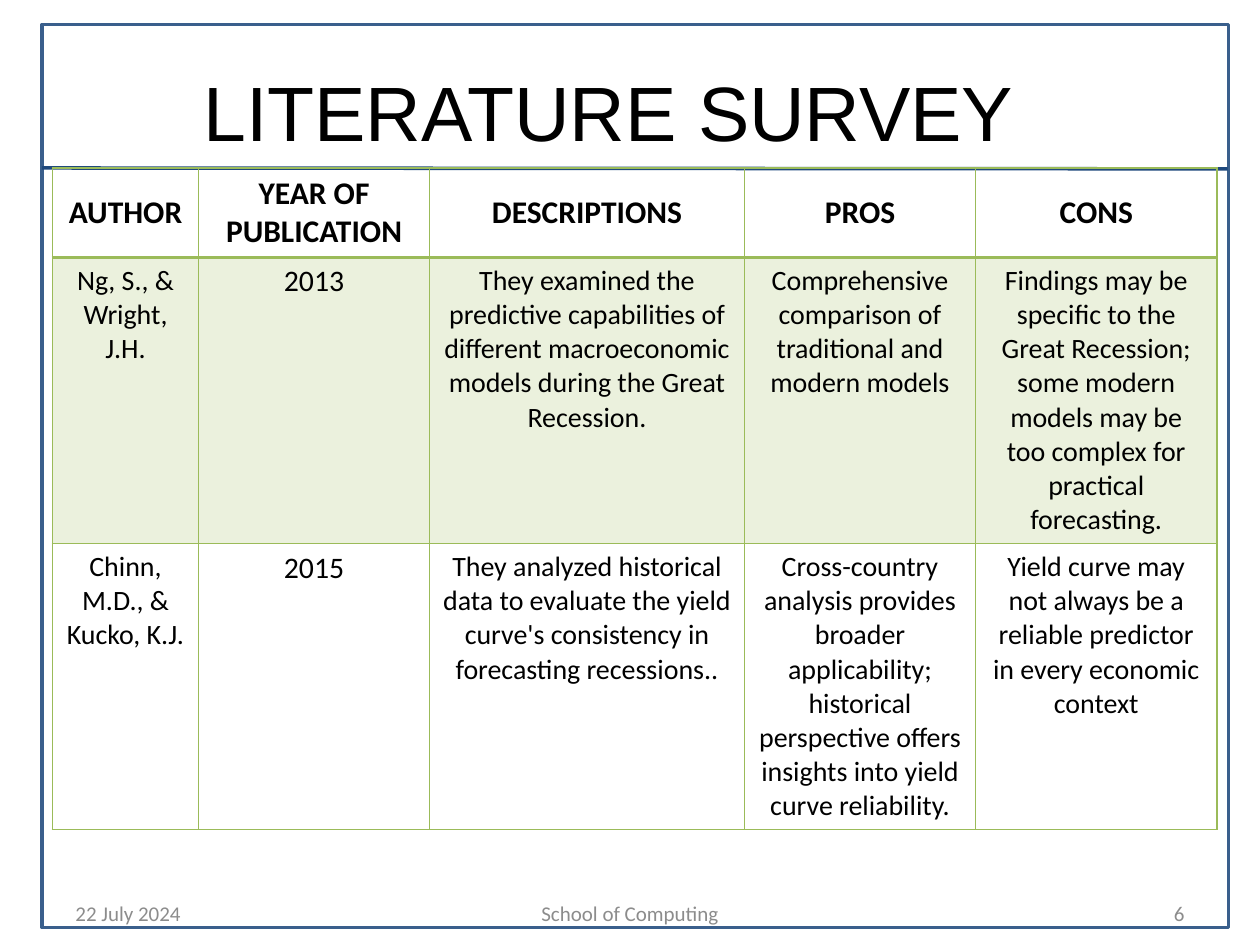
from dataclasses import dataclass

from lxml import etree
from pptx import Presentation
from pptx.dml.color import RGBColor
from pptx.enum.shapes import MSO_CONNECTOR, MSO_SHAPE
from pptx.enum.text import MSO_ANCHOR, PP_ALIGN
from pptx.oxml.ns import qn
from pptx.util import Pt

LEFT, CENTER, RIGHT = PP_ALIGN.LEFT, PP_ALIGN.CENTER, PP_ALIGN.RIGHT
TOP, MIDDLE = MSO_ANCHOR.TOP, MSO_ANCHOR.MIDDLE
RECTANGLE, STRAIGHT = MSO_SHAPE.RECTANGLE, MSO_CONNECTOR.STRAIGHT
TITLE_ONLY = 5


@dataclass(frozen=True)
class Theme:
    black: str = "000000"
    gray: str = "8C8C8C"
    frame: str = "3A5F8C"
    rule: str = "1F497D"
    green: str = "9BBB59"
    band_opacity: int = 20
    title_font: str = "Arial"
    body_font: str = "Calibri"
    title_size: int = 44
    header_size: int = 18
    year_size: int = 17
    body_size: int = 16
    footer_size: int = 12


THEME = Theme()

COLUMN_WIDTHS = (83.5, 132, 180, 132, 138)
ROW_HEIGHTS = (51, 163.5, 163.5)
YEAR_COLUMN = 1
SURVEY = (
    ("AUTHOR", "YEAR OF PUBLICATION", "DESCRIPTIONS", "PROS", "CONS"),
    (
        "Ng, S., & Wright, J.H.",
        "2013",
        "They examined the predictive capabilities of different "
        "macroeconomic models during the Great Recession.",
        "Comprehensive comparison of traditional and modern models",
        "Findings may be specific to the Great Recession; some modern models "
        "may be too complex for practical forecasting.",
    ),
    (
        "Chinn, M.D., & Kucko, K.J.",
        "2015",
        "They analyzed historical data to evaluate the yield curve's "
        "consistency in forecasting recessions..",
        "Cross-country analysis provides broader applicability; historical "
        "perspective offers insights into yield curve reliability.",
        "Yield curve may not always be a reliable predictor in every "
        "economic context",
    ),
)
FOOTERS = (
    ("22 July 2024", 36, 168, LEFT),
    ("School of Computing", 246, 228, CENTER),
    ("6", 516, 168, RIGHT),
)


def rgb(color):
    return RGBColor.from_string(color)


def write(frame, text, font, size, color, align, bold=False):
    frame.text = text
    paragraph = frame.paragraphs[0]
    paragraph.alignment = align
    paragraph.font.name = font
    paragraph.font.size = Pt(size)
    paragraph.font.bold = bold
    paragraph.font.color.rgb = rgb(color)


def add_frame(slide):
    frame = slide.shapes.add_shape(RECTANGLE, Pt(24), Pt(14), Pt(678), Pt(516))
    frame.shadow.inherit = False
    frame.fill.background()
    frame.line.color.rgb = rgb(THEME.frame)
    frame.line.width = Pt(2)


def add_rule(slide):
    rule = slide.shapes.add_connector(STRAIGHT, Pt(24), Pt(96), Pt(701.5), Pt(96.5))
    rule.line.color.rgb = rgb(THEME.rule)
    rule.line.width = Pt(2)
    etree.SubElement(rule.element.spPr, qn("a:effectLst"))


def add_footer(slide, text, left, width, align):
    footer = slide.shapes.add_textbox(Pt(left), Pt(507.5), Pt(width), Pt(29))
    footer.text_frame.word_wrap = True
    footer.text_frame.vertical_anchor = MIDDLE
    write(footer.text_frame, text, THEME.body_font, THEME.footer_size,
          THEME.gray, align)


def set_title(slide, text):
    title = slide.shapes.title
    title.left, title.top, title.width, title.height = Pt(24), Pt(18), Pt(648), Pt(90)
    title.text_frame.vertical_anchor = MIDDLE
    write(title.text_frame, text, THEME.title_font, THEME.title_size,
          THEME.black, CENTER)


def set_borders(cell, widths):
    """Draw green cell borders, with widths keyed by the sides L, R, T and B."""
    properties = cell._tc.get_or_add_tcPr()
    for side, width in widths.items():
        border = etree.SubElement(properties, qn(f"a:ln{side}"), w=str(Pt(width)))
        fill = etree.SubElement(border, qn("a:solidFill"))
        etree.SubElement(fill, qn("a:srgbClr"), val=THEME.green)


def fill_band(cell):
    cell.fill.solid()
    cell.fill.fore_color.rgb = rgb(THEME.green)
    color = cell._tc.tcPr.find(f"{qn('a:solidFill')}/{qn('a:srgbClr')}")
    etree.SubElement(color, qn("a:alpha"), val=str(THEME.band_opacity * 1000))


def format_cell(cell, text, row, column):
    is_header = row == 0
    if is_header:
        size = THEME.header_size
    elif column == YEAR_COLUMN:
        size = THEME.year_size
    else:
        size = THEME.body_size
    cell.vertical_anchor = MIDDLE if is_header else TOP
    write(cell.text_frame, text, THEME.body_font, size, THEME.black, CENTER,
          bold=is_header)
    set_borders(cell, {"L": 1, "R": 1, "T": 2 if row == 1 else 1,
                       "B": 2 if is_header else 1})
    if row % 2:
        fill_band(cell)
    else:
        cell.fill.background()


def add_survey_table(slide):
    table = slide.shapes.add_table(
        len(ROW_HEIGHTS), len(COLUMN_WIDTHS), Pt(30), Pt(96),
        Pt(sum(COLUMN_WIDTHS)), Pt(sum(ROW_HEIGHTS))).table
    table.first_row = table.horz_banding = False
    for column, width in zip(table.columns, COLUMN_WIDTHS):
        column.width = Pt(width)
    for row, height in zip(table.rows, ROW_HEIGHTS):
        row.height = Pt(height)
    for r, entries in enumerate(SURVEY):
        for c, text in enumerate(entries):
            format_cell(table.cell(r, c), text, r, c)


def main():
    presentation = Presentation()
    presentation.slide_width, presentation.slide_height = Pt(720), Pt(540)
    slide = presentation.slides.add_slide(presentation.slide_layouts[TITLE_ONLY])
    add_frame(slide)
    add_rule(slide)
    for footer in FOOTERS:
        add_footer(slide, *footer)
    add_survey_table(slide)
    set_title(slide, "LITERATURE SURVEY")
    presentation.save("out.pptx")


if __name__ == "__main__":
    main()
